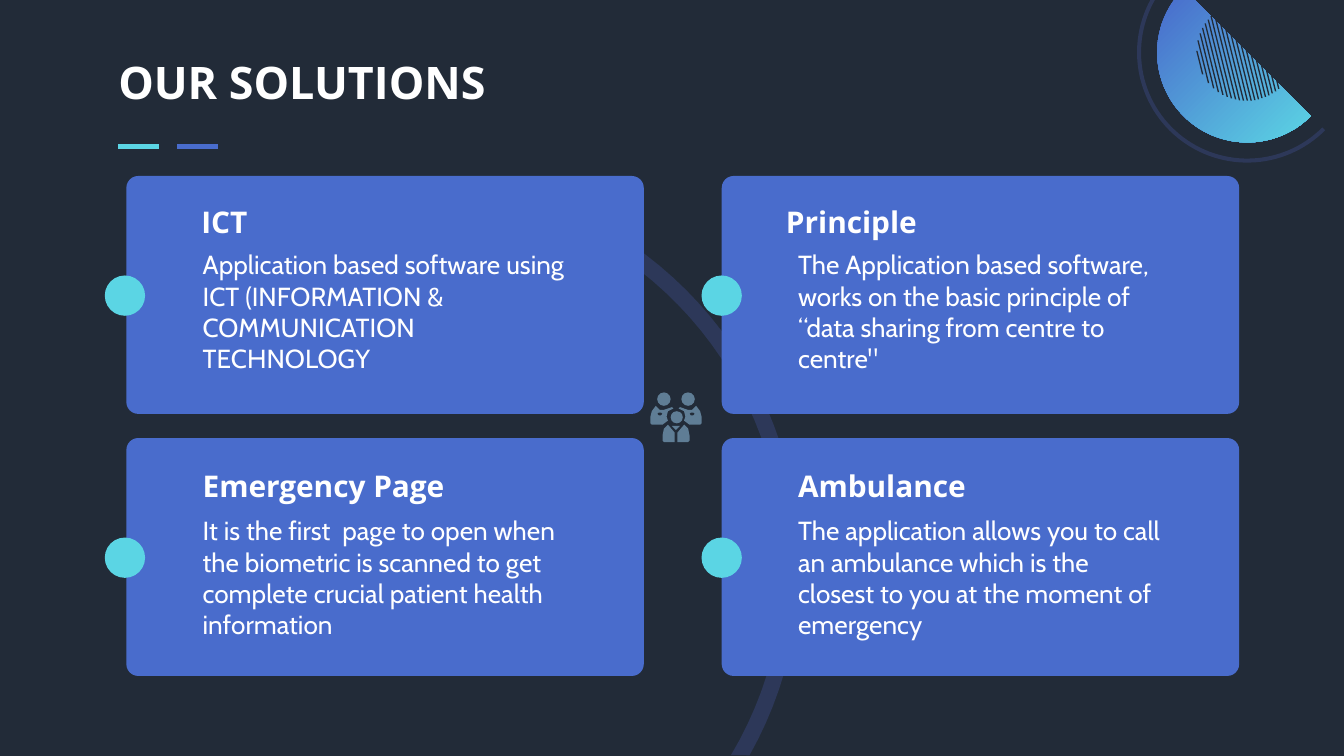
import math
import pptx
import pptx.dml.color
import pptx.enum.dml
import pptx.enum.shapes
import pptx.enum.text
import pptx.util
from dataclasses import dataclass
from lxml import etree

Inches = pptx.util.Inches
Kind = pptx.enum.shapes.MSO_SHAPE
Anchor = pptx.enum.text.MSO_ANCHOR


def rgb(code):
    return pptx.dml.color.RGBColor.from_string(code)


@dataclass(frozen=True)
class Theme:
    back: object = rgb("222B38")
    blue: object = rgb("496CCC")
    cyan: object = rgb("5BD5E4")
    navy: object = rgb("2D3859")
    slate: object = rgb("5F7D95")
    white: object = rgb("FFFFFF")
    head: str = "Open Sans"
    body: str = "Cabin"
    title: int = 24
    name: int = 16
    text: int = 14


theme = Theme()


def arc(x, y, r, start, end, steps=60):
    """Points on a circle; degrees run clockwise from the right."""
    turns = [math.radians(start + (end - start) * i / steps) for i in range(steps + 1)]
    return [(x + r * math.cos(t), y + r * math.sin(t)) for t in turns]


def draw(color, *loops):
    """One filled outline made of closed loops of points in inches."""
    pen = None
    for loop in loops:
        spots = [(Inches(x), Inches(y)) for x, y in loop]
        if pen is None:
            pen = slide.shapes.build_freeform(*spots[0])
        else:
            pen.move_to(*spots[0])
        pen.add_line_segments(spots[1:], close=True)
    shape = pen.convert_to_shape()
    shape.shadow.inherit = False
    shape.line.fill.background()
    shape.fill.solid()
    shape.fill.fore_color.rgb = color
    return shape


deck = pptx.Presentation()
deck.slide_width = Inches(10)
deck.slide_height = Inches(10) * 9 // 16
slide = deck.slides.add_slide(deck.slide_layouts[5])
slide.background.fill.solid()
slide.background.fill.fore_color.rgb = theme.back

# Half disc in the corner, cut by the top edge
x, y, r = 9.28, 0.39, 0.67
cut = 180 + math.degrees(math.asin(y / r))
disc = draw(theme.blue, arc(x, y, r, 45, cut) + [(x - y, 0)])
disc.fill.gradient()
disc.fill.gradient_angle = 315
for stop, color in zip(disc.fill.gradient_stops, (theme.blue, theme.cyan)):
    stop.color.rgb = color

# Thin ring around it
rim = []
for r in (0.82, 0.79):
    cut = 180 + math.degrees(math.asin(y / r))
    side = arc(x, y, r, 45, cut)
    rim += side if r == 0.82 else side[::-1]
draw(theme.navy, rim)

# Slanted hatching that fills a small circle
x, y, r = 9.27, 0.38, 0.37
dx, dy = 0.24, 0.97
for i in range(-13, 14):
    gap = i * r / 13.4
    half = math.sqrt(r * r - gap * gap)
    mx, my = x + gap * dy, y - gap * dx
    top, low = (mx - half * dx, my - half * dy), (mx + half * dx, my + half * dy)
    draw(theme.back, [top, low, (low[0] + 0.01, low[1]), (top[0] + 0.01, top[1])])

# Wide arc behind the cards, cut by the bottom edge
x, y = 3.06, 4.2
band = []
for r in (2.89, 2.77):
    cut = math.degrees(math.asin((5.62 - y) / r))
    side = arc(x, y, r, -130, cut)
    band += side if r == 2.89 else side[::-1]
draw(theme.navy, band)

# Title
title = slide.shapes.title
title.left, title.top, title.width, title.height = map(Inches, (0.78, 0.31, 8.44, 0.58))
title.text = "OUR SOLUTIONS"

# Cards: column, row, heading left and body left, heading, body
cards = [
    (0, 0, 1.4, 1.41, "ICT",
     "Application based software using ICT (INFORMATION & COMMUNICATION TECHNOLOGY"),
    (1, 0, 5.75, 5.84, "Principle",
     "The Application based software, works on the basic principle of “data sharing from centre to centre\""),
    (0, 1, 1.41, 1.41, "Emergency Page",
     "It is the first  page to open when the biometric is scanned to get complete crucial patient health information"),
    (1, 1, 5.84, 5.84, "Ambulance",
     "The application allows you to call an ambulance which is the closest to you at the moment of emergency"),
]
labels = [(title, theme.head, theme.title, True, Anchor.TOP)]
blobs = []
for col, row, hx, bx, name, text in cards:
    top = 1.31 + 1.95 * row
    blobs.append((Kind.ROUNDED_RECTANGLE, 0.94 + 4.43 * col, top, 3.85, 1.77, theme.blue))
    blobs.append((Kind.OVAL, 0.78 + 4.44 * col, top + 0.74, 0.3, 0.3, theme.cyan))

# Heads of the people icon
for x, y, size in ((4.89, 2.92, 0.1), (5.07, 2.92, 0.1), (4.99, 3.06, 0.09)):
    blobs.append((Kind.OVAL, x, y, size, size, theme.slate))

for kind, x, y, wide, high, color in blobs:
    shape = slide.shapes.add_shape(kind, *map(Inches, (x, y, wide, high)))
    shape.shadow.inherit = False
    shape.line.fill.background()
    shape.fill.solid()
    shape.fill.fore_color.rgb = color
    if kind == Kind.ROUNDED_RECTANGLE:
        shape.adjustments[0] = 0.05

# Card texts
for col, row, hx, bx, name, text in cards:
    head = slide.shapes.add_textbox(*map(Inches, (hx, 1.45 + 1.97 * row, 2.9, 0.43)))
    head.text_frame.text = name
    labels.append((head, theme.head, theme.name, True, Anchor.BOTTOM))
    body = slide.shapes.add_textbox(*map(Inches, (bx, 1.75 + 1.98 * row, 2.9, 1.1)))
    body.text_frame.text = text
    labels.append((body, theme.body, theme.text, False, Anchor.TOP))

for box, face, size, bold, anchor in labels:
    frame = box.text_frame
    frame.word_wrap = True
    frame.auto_size = pptx.enum.text.MSO_AUTO_SIZE.NONE
    frame.vertical_anchor = anchor
    frame.margin_left = frame.margin_right = Inches(0.1)
    frame.margin_top = frame.margin_bottom = Inches(0.1)
    para = frame.paragraphs[0]
    para.alignment = pptx.enum.text.PP_ALIGN.LEFT
    para.font.name, para.font.size, para.font.bold = face, pptx.util.Pt(size), bold
    para.font.color.rgb = theme.white

# Bodies of the people icon, mirrored about its middle
mid = 5.03
draw(theme.slate, [(5, 3.17), (mid, 3.2), (5.06, 3.17)])
coat = [(0.06, 3.16), (0.01, 3.22), (0.01, 3.29), (0.09, 3.29), (0.1, 3.28),
        (0.1, 3.24), (0.09, 3.19)]
arms = [(0.15, 3.02), (0.12, 3.05), (0.09, 3.05), (0.03, 3.03), (0.02, 3.04),
        (0.06, 3.06), (0.07, 3.1), (0.06, 3.13), (0.1, 3.16), (0.18, 3.16),
        (0.19, 3.15), (0.19, 3.1), (0.18, 3.06)]
slot = [(0.11, 3.07), (0.13, 3.07), (0.14, 3.08), (0.13, 3.09), (0.11, 3.09), (0.1, 3.08)]
for sign in (-1, 1):
    flip = [[(mid + sign * x, y) for x, y in part] for part in (coat, arms, slot)]
    draw(theme.slate, flip[0])
    draw(theme.slate, flip[1], flip[2])

# Two dashes under the title
for x, color in ((0.88, theme.cyan), (1.32, theme.blue)):
    dash = slide.shapes.add_connector(
        pptx.enum.shapes.MSO_CONNECTOR.STRAIGHT, *map(Inches, (x, 1.09, x + 0.3, 1.09)))
    dash.line.color.rgb = color
    dash.line.width = pptx.util.Pt(3)
    etree.SubElement(dash.line._get_or_add_ln().getparent(), pptx.oxml.ns.qn("a:effectLst"))

deck.save("out.pptx")
